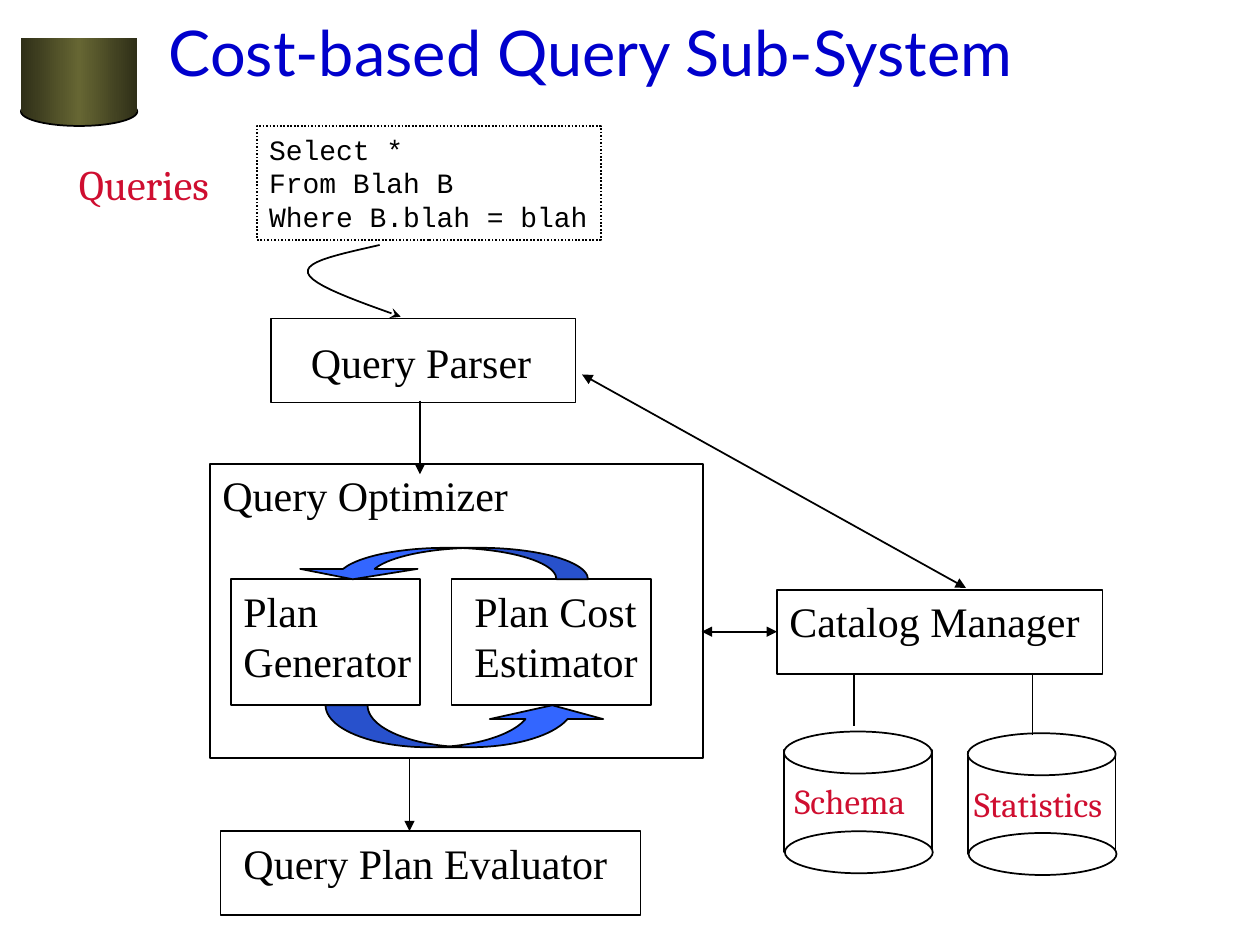
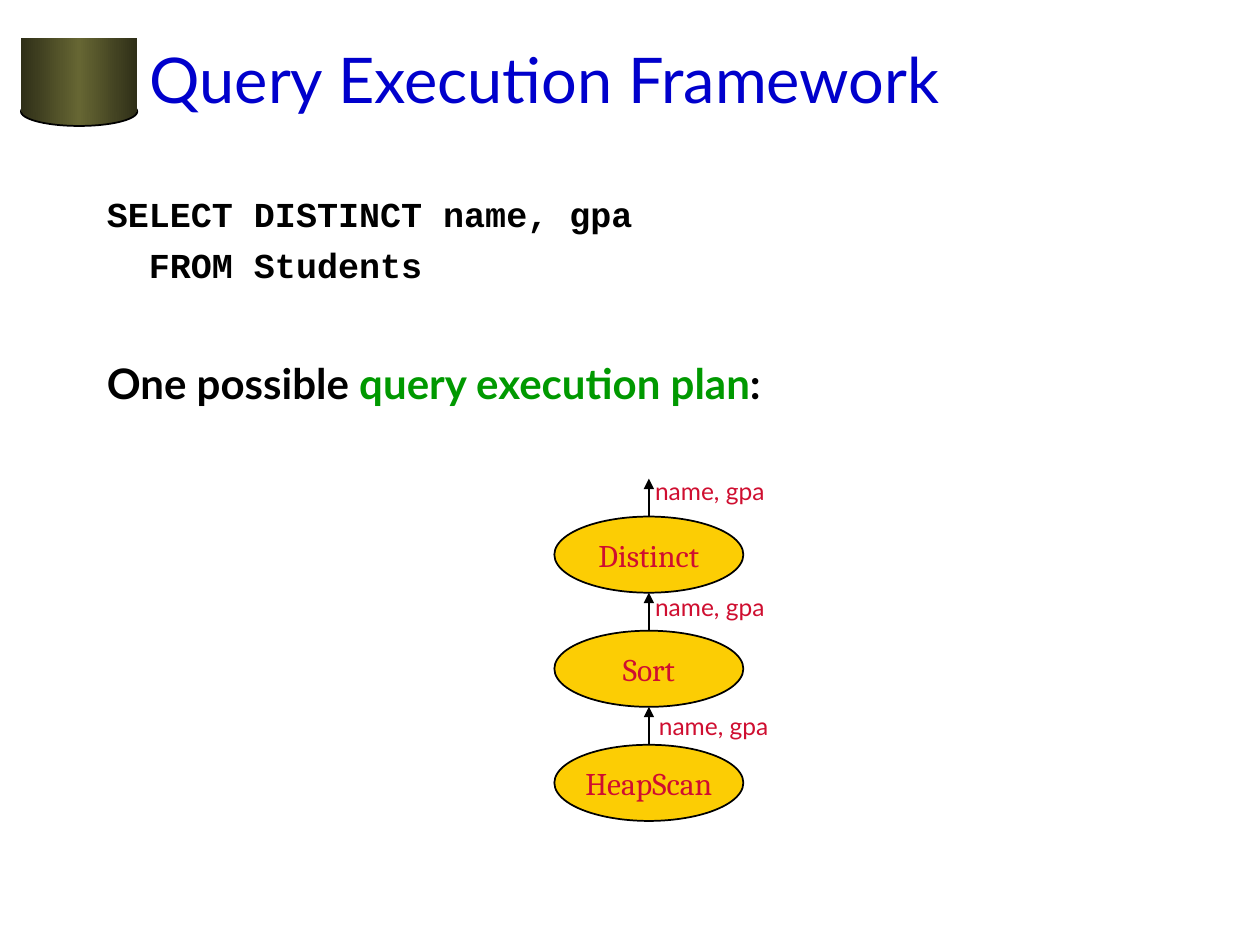
"""Builds two slides on cost-based query processing."""
import copy

import lxml.etree
import pptx
import pptx.dml.color
import pptx.enum.dml
import pptx.enum.shapes
import pptx.enum.text
import pptx.oxml.ns
import pptx.util

Pt = pptx.util.Pt
color = pptx.dml.color.RGBColor.from_string
qn = pptx.oxml.ns.qn
SHAPE = pptx.enum.shapes.MSO_SHAPE
MIDDLE = pptx.enum.text.MSO_ANCHOR.MIDDLE
LEFT = pptx.enum.text.PP_ALIGN.LEFT
CENTER = pptx.enum.text.PP_ALIGN.CENTER

BLACK, WHITE, RED, GREEN = "000000", "FFFFFF", "CF0E30", "009900"
BLUE, GOLD, ARROW_BLUE = "0000CC", "FCCD04", "3366FF"
OLIVE_STOPS = [(0, "2F2F18"), (0.5, "666633"), (1, "2F2F18")]

TITLE = {"name": "Lato", "size": Pt(36), "hex": BLUE}
COMPONENT = {"name": "Times New Roman", "size": Pt(24), "hex": BLACK}
QUERY = {"name": "Courier New", "size": Pt(16), "hex": BLACK}
QUERIES = {"name": "Cambria", "size": Pt(24), "hex": RED}
STORE = {"name": "Cambria", "size": Pt(20), "hex": RED}
OPERATOR = {"name": "Cambria", "size": Pt(18), "hex": RED}
COLUMNS = {"name": "Lato", "size": Pt(14), "hex": RED}
CODE = {"name": "Courier New", "size": Pt(20), "bold": True, "hex": BLACK}
PLAN = {"name": "Lato", "size": Pt(24), "bold": True, "hex": BLACK}


def add_part(slide, kind, box, fill=None, edge=BLACK, paragraphs=(), align=LEFT, anchor=None):
    """Adds a shape, or a text box if kind is None; a paragraph is a list of (text, format)."""
    box = [Pt(value) for value in box]
    if kind is None:
        part = slide.shapes.add_textbox(*box)
    else:
        part = slide.shapes.add_shape(kind, *box)
        part.shadow.inherit = False
        if fill:
            part.fill.solid()
            part.fill.fore_color.rgb = color(fill)
        else:
            part.fill.background()
        if edge:
            part.line.color.rgb = color(edge)
            part.line.width = Pt(1)
        else:
            part.line.fill.background()
    frame = part.text_frame
    frame.word_wrap = kind is None
    frame.vertical_anchor = anchor or pptx.enum.text.MSO_ANCHOR.TOP
    for index, runs in enumerate(paragraphs):
        paragraph = frame.add_paragraph() if index else frame.paragraphs[0]
        paragraph.alignment = align
        for text, style in runs:
            run = paragraph.add_run()
            run.text = text
            for key, value in style.items():
                if key == "hex":
                    run.font.color.rgb = color(value)
                else:
                    setattr(run.font, key, value)
    return part


def finish_line(line, head=None, tail=None):
    """Gives a connector or open curve its stroke, arrowheads and no shadow."""
    line.line.color.rgb = color(BLACK)
    line.line.width = Pt(1)
    properties = line._element.spPr
    stroke = properties.find(qn("a:ln"))
    for end, style in (("a:headEnd", head), ("a:tailEnd", tail)):
        if style:
            lxml.etree.SubElement(stroke, qn(end), type=style)
    lxml.etree.SubElement(properties, qn("a:effectLst"))


deck = pptx.Presentation()
deck.slide_width, deck.slide_height = Pt(720), Pt(540)

slides = []
for title, title_box in (
    ("Cost-based Query Sub-System", (89.3, 0, 612, 59)),
    ("Query Execution Framework", (78.5, 0, 612, 90)),
):
    slide = deck.slides.add_slide(deck.slide_layouts[6])
    slides.append(slide)
    for kind, box, edge in (
        (SHAPE.OVAL, (12, 55.5, 66.5, 16.5), BLACK),
        (SHAPE.RECTANGLE, (12, 21.5, 66.5, 42.5), None),
    ):
        drum = add_part(slide, kind, box, edge=edge)
        drum.fill.gradient()
        drum.fill.gradient_angle = 0
        stop_list = drum._element.spPr.find(qn("a:gradFill")).find(qn("a:gsLst"))
        stop_list.append(copy.deepcopy(stop_list[0]))
        for stop, (position, shade) in zip(drum.fill.gradient_stops, OLIVE_STOPS):
            stop.position = position
            stop.color.rgb = color(shade)
    add_part(slide, None, title_box, paragraphs=[[(title, TITLE)]], anchor=MIDDLE)
system, framework = slides

for label, label_box, frame_box in (
    ("Query Parser", (170.5, 188.5, 162, 36), (155, 182, 174, 48)),
    ("Query Optimizer", (120, 265, 486, 36), (120, 265, 282, 168)),
    ("Plan Generator", (132, 331, 132, 65), (132, 331, 108, 72)),
    ("Plan Cost Estimator", (264, 331, 162, 65), (258, 331, 114, 72)),
    ("Catalog Manager", (444, 337, 192, 36), (444, 337, 186, 48)),
    ("Query Plan Evaluator", (132, 475, 312, 36), (126, 475, 240, 48)),
):
    add_part(system, None, label_box, paragraphs=[[(label, COMPONENT)]])
    add_part(system, SHAPE.RECTANGLE, frame_box)

for box, rotation, adjustments in (
    ((186, 403, 162, 24), 0, (1.35, 2.7, 0.33)),
    ((168, 313, 168, 18), 180, (1.87, 3.73, 0.33)),
):
    cycle = add_part(system, SHAPE.CURVED_UP_ARROW, box, ARROW_BLUE)
    cycle.rotation = rotation
    for index, value in enumerate(adjustments):
        cycle.adjustments[index] = value

for store, left, top, label_box in (
    ("Schema", 448, 418, (447, 442, 88, 32)),
    ("Statistics", 553, 419, (549.5, 443.5, 99, 32)),
):
    add_part(system, SHAPE.RECTANGLE, (left, top + 10.5, 84.5, 58.5), WHITE)
    add_part(system, SHAPE.OVAL, (left, top, 84.5, 24), WHITE)
    add_part(system, SHAPE.OVAL, (left + 0.5, top + 57, 84.5, 24), WHITE)
    add_part(system, None, label_box, paragraphs=[[(store, STORE)]])

query_lines = ("Select *", "From Blah B", "Where B.blah = blah")
query = add_part(system, SHAPE.RECTANGLE, (146.7, 72, 196.6, 65),
                 paragraphs=[[(text, QUERY)] for text in query_lines])
query.line.dash_style = pptx.enum.dml.MSO_LINE.ROUND_DOT
add_part(system, None, (38, 87, 115, 36), paragraphs=[[("Queries", QUERIES)]])

query_flow = [(217, 140)]
for bend in (
    ((217, 140), (196, 145), (174, 149), (176, 156)),
    ((176, 156), (178, 163), (204, 172), (229, 181)),
):
    for step in range(1, 13):
        t = step / 12
        weights = ((1 - t) ** 3, 3 * t * (1 - t) ** 2, 3 * t * t * (1 - t), t ** 3)
        query_flow.append([sum(w * p[axis] for w, p in zip(weights, bend)) for axis in (0, 1)])
query_flow = [(Pt(x), Pt(y)) for x, y in query_flow]
builder = system.shapes.build_freeform(*query_flow[0])
builder.add_line_segments(query_flow[1:], close=False)
query_arrow = builder.convert_to_shape()
query_arrow.fill.background()
finish_line(query_arrow, tail="stealth")

operators = [
    ("Distinct", 367.2, 268.6),
    ("Sort", 367.2, 334.8),
    ("HeapScan", 369.4, 402.5),
]
links = [
    (system, (234, 433, 234, 475), None, "triangle"),
    (system, (401, 361, 444, 361), "triangle", "triangle"),
    (system, (240, 229, 240, 271), None, "triangle"),
    (system, (488, 386, 488, 415), None, None),
    (system, (590, 385, 590, 420), None, None),
    (system, (332.6, 214, 552, 336), "triangle", "triangle"),
]
for index, (operator, label_left, label_top) in enumerate(operators):
    top = 295.2 + 65.2 * index
    add_part(framework, SHAPE.OVAL, (316.8, top, 108, 43.5), GOLD,
             paragraphs=[[(operator, OPERATOR)]], align=CENTER, anchor=MIDDLE)
    add_part(framework, None, (label_left, label_top, 90, 24.5),
             paragraphs=[[("name, gpa", COLUMNS)]])
    links.append((framework, (370.8, top, 370.8, top - 21.7), None, "triangle"))

for slide, ends, head, tail in links:
    link = slide.shapes.add_connector(pptx.enum.shapes.MSO_CONNECTOR.STRAIGHT,
                                      *[Pt(value) for value in ends])
    finish_line(link, head, tail)

statement = add_part(framework, None, (54, 106.5, 612, 379), paragraphs=[
    [("SELECT DISTINCT name, gpa", CODE)],
    [("  FROM Students", CODE)],
    [("One possible ", PLAN), ("query execution plan", PLAN | {"hex": GREEN}), (":", PLAN)],
])
for paragraph, gap in zip(statement.text_frame.paragraphs[1:], (5, 41)):
    paragraph.space_before = Pt(gap)

deck.save("out.pptx")
